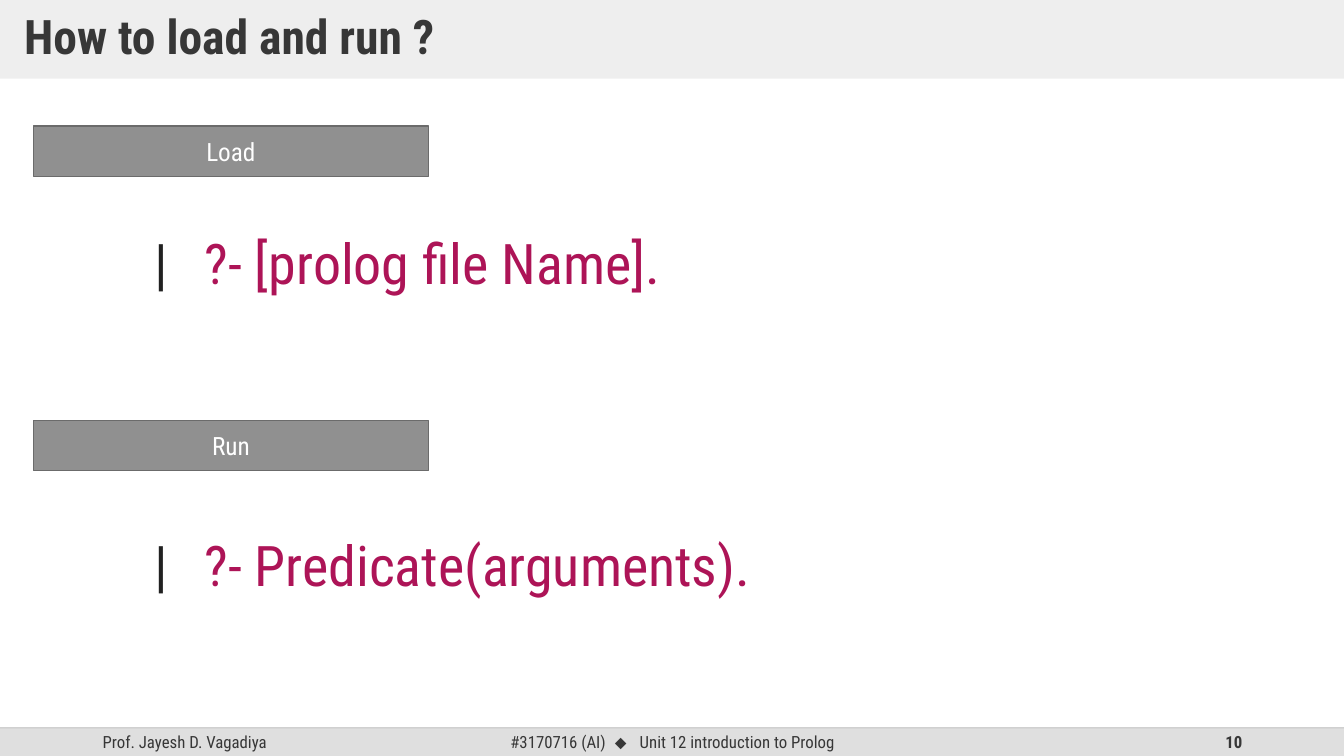
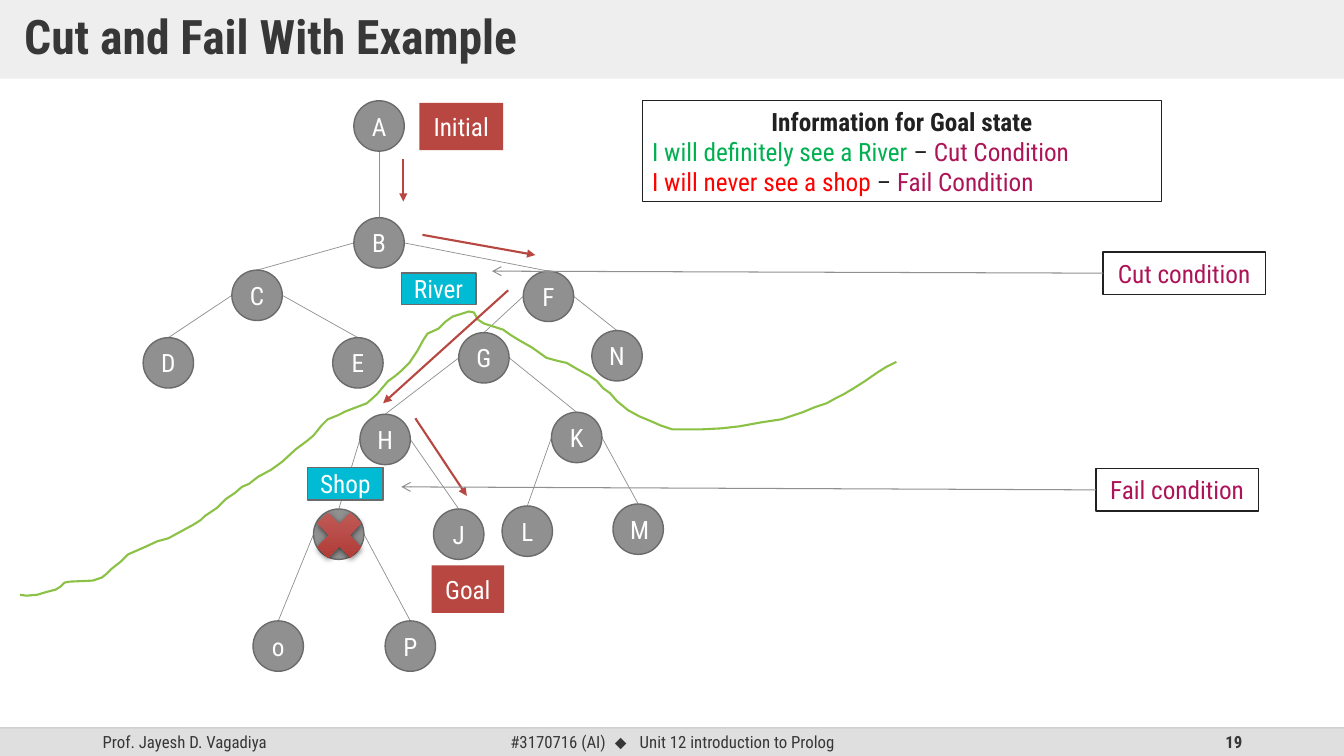
"""Builds two Prolog lecture slides: loading and running, and cut and fail on a search tree."""

from dataclasses import dataclass
from typing import Any, NamedTuple, Optional, Sequence

import lxml.etree
import pptx
import pptx.dml.color
import pptx.enum.dml
import pptx.enum.shapes
import pptx.enum.text
import pptx.oxml.ns
import pptx.util

COLORS = {
    "white": "FFFFFF", "ink": "212121", "dark": "373737", "band": "DFDFDF",
    "rule": "BFBFBF", "gray": "909090", "edge": "6B6B6B", "pink": "AD1457",
    "red": "B84742", "cyan": "00BBD3", "lime": "8BC145", "green": "00B050",
    "alert": "FF0000", "cross_top": "C2615E", "cross_end": "AE3530",
}
FONT = "Roboto Condensed"
WIDTH, HEIGHT = 13.33, 7.5
FOOT_TOP, FOOT_H = 7.22, 0.28
NODE = 0.5
SHAPE = pptx.enum.shapes.MSO_SHAPE
ALIGN = pptx.enum.text.PP_ALIGN
MIDDLE = pptx.enum.text.MSO_ANCHOR.MIDDLE
Inches = pptx.util.Inches
qn = pptx.oxml.ns.qn


class Box(NamedTuple):
    x: float
    y: float
    w: float
    h: float


class Run(NamedTuple):
    text: str
    color: str = "white"
    size: float = 18
    bold: bool = False
    font: str = FONT
    spacing: float = 0


@dataclass(frozen=True)
class Para:
    runs: Sequence[Run]
    align: Any = ALIGN.CENTER
    line_spacing: Optional[float] = None
    tab: Optional[float] = None


@dataclass(frozen=True)
class Label:
    box: Box
    paras: Sequence[Para]
    fill: str
    line: Optional[str] = None


@dataclass(frozen=True)
class Line:
    start: tuple[float, float]
    end: tuple[float, float]
    color: str = "gray"
    width: float = 0.5
    head: Optional[str] = None
    alpha: Optional[int] = None


NODES = {
    "A": (3.51, 1), "B": (3.51, 2.16), "C": (2.3, 2.68), "F": (5.19, 2.69),
    "D": (1.42, 3.35), "E": (3.3, 3.35), "G": (4.55, 3.3), "N": (5.87, 3.28),
    "H": (3.57, 4.11), "K": (5.47, 4.09), "L": (4.98, 5.02), "M": (6.08, 5),
    "I": (3.11, 5.05), "J": (4.3, 5.05), "o": (2.51, 6.16), "P": (3.82, 6.16),
}
BRANCHES = {"B": "CF", "C": "DE", "F": "GN", "G": "HK", "H": "IJ", "K": "LM", "I": "oP"}
RIVER = [
    (0.2, 5.9), (0.26, 5.91), (0.37, 5.9), (0.47, 5.87), (0.55, 5.85), (0.6, 5.82),
    (0.64, 5.78), (0.69, 5.77), (0.92, 5.76), (1.01, 5.73), (1.06, 5.69), (1.11, 5.64),
    (1.2, 5.57), (1.27, 5.5), (1.43, 5.43), (1.56, 5.37), (1.67, 5.34), (1.78, 5.28),
    (1.91, 5.21), (1.99, 5.16), (2.03, 5.12), (2.15, 5.04), (2.24, 4.95), (2.33, 4.89),
    (2.4, 4.83), (2.47, 4.8), (2.56, 4.73), (2.69, 4.66), (2.8, 4.58), (2.93, 4.46),
    (3.05, 4.37), (3.11, 4.32), (3.19, 4.22), (3.25, 4.16), (3.35, 4.12), (3.43, 4.08),
    (3.64, 4), (3.74, 3.91), (3.79, 3.85), (3.85, 3.78), (3.92, 3.73), (3.99, 3.67),
    (4.06, 3.6), (4.14, 3.48), (4.2, 3.37), (4.24, 3.31), (4.35, 3.26), (4.42, 3.19),
    (4.49, 3.14), (4.65, 3.09), (4.7, 3.1), (4.74, 3.17), (4.8, 3.21), (4.99, 3.27),
    (5.06, 3.32), (5.14, 3.37), (5.21, 3.41), (5.28, 3.45), (5.42, 3.55), (5.53, 3.58),
    (5.62, 3.6), (5.74, 3.67), (5.85, 3.73), (5.92, 3.78), (5.98, 3.85), (6.05, 3.9),
    (6.12, 3.98), (6.23, 4.07), (6.34, 4.13), (6.46, 4.18), (6.55, 4.22), (6.67, 4.26),
    (6.95, 4.26), (7.15, 4.25), (7.33, 4.23), (7.55, 4.19), (7.75, 4.16), (7.84, 4.13),
    (7.96, 4.09), (8.08, 4.04), (8.2, 4), (8.29, 3.95), (8.37, 3.91), (8.47, 3.85),
    (8.58, 3.78), (8.71, 3.69), (8.79, 3.64), (8.89, 3.59),
]


def rgb(name: str) -> pptx.dml.color.RGBColor:
    return pptx.dml.color.RGBColor.from_string(COLORS[name])


def add_xml(parent: Any, tag: str, **attrs: Any) -> Any:
    return lxml.etree.SubElement(parent, qn(tag), {k: str(v) for k, v in attrs.items()})


def set_alpha(element: Any, percent: int) -> None:
    add_xml(next(element.iter(qn("a:srgbClr"))), "a:alpha", val=percent * 1000)


def write(sp: Any, paras: Sequence[Para], wrap: bool = True) -> None:
    tf = sp.text_frame
    tf.word_wrap = wrap
    tf.vertical_anchor = MIDDLE
    for i, para in enumerate(paras):
        p = tf.add_paragraph() if i else tf.paragraphs[0]
        p.alignment = para.align
        if para.line_spacing:
            p.line_spacing = para.line_spacing
        if para.tab:
            tabs = add_xml(p._p.get_or_add_pPr(), "a:tabLst")
            add_xml(tabs, "a:tab", pos=Inches(para.tab), algn="l")
        for run in para.runs:
            r = p.add_run()
            r.text = run.text
            r.font.name = run.font
            r.font.size = pptx.util.Pt(run.size)
            r.font.bold = run.bold
            r.font.color.rgb = rgb(run.color)
            if run.spacing:
                r._r.get_or_add_rPr().set("spc", str(int(run.spacing * 100)))


def add_shape(s: Any, kind: Any, box: Box, fill: str, line: Optional[str] = None) -> Any:
    sp = s.shapes.add_shape(kind, *map(Inches, box))
    sp.shadow.inherit = False
    sp.fill.solid()
    sp.fill.fore_color.rgb = rgb(fill)
    if line:
        sp.line.color.rgb = rgb(line)
        sp.line.width = pptx.util.Pt(1)
    else:
        sp.line.fill.background()
    return sp


def add_label(s: Any, label: Label) -> None:
    write(add_shape(s, SHAPE.RECTANGLE, label.box, label.fill, label.line), label.paras)


def add_text(s: Any, box: Box, para: Para, wrap: bool = True) -> None:
    write(s.shapes.add_textbox(*map(Inches, box)), [para], wrap)


def add_line(s: Any, line: Line) -> None:
    cx = s.shapes.add_connector(
        pptx.enum.shapes.MSO_CONNECTOR.STRAIGHT, *map(Inches, line.start + line.end))
    cx.line.color.rgb = rgb(line.color)
    cx.line.width = pptx.util.Pt(line.width)
    sp_pr = cx._element.spPr
    ln = sp_pr.find(qn("a:ln"))
    if line.alpha:
        set_alpha(ln, line.alpha)
    if line.head:
        add_xml(ln, "a:tailEnd", type=line.head)
    add_xml(sp_pr, "a:effectLst")


def add_slide(prs: Any, title: str, number: int) -> Any:
    s = prs.slides.add_slide(prs.slide_layouts[6])
    add_shape(s, SHAPE.RECTANGLE, Box(0, FOOT_TOP, WIDTH, FOOT_H), "band")
    unit = [Run("#3170716 (AI)", "dark", 12),
            Run(" ⬥ ", "dark", 12, font="Arial", spacing=3),
            Run("Unit 12 introduction to Prolog", "dark", 12)]
    for x, w, runs, align in (
        (0.92, 3, [Run("Prof. Jayesh D. Vagadiya", "dark", 12)], ALIGN.LEFT),
        (3.64, 6.06, unit, ALIGN.CENTER),
        (9.42, 3, [Run(str(number), "dark", 12, True)], ALIGN.RIGHT),
    ):
        add_text(s, Box(x, FOOT_TOP, w, FOOT_H), Para(runs, align))
    add_line(s, Line((0, FOOT_TOP), (WIDTH, FOOT_TOP), "rule", 1, alpha=70))
    sp = add_shape(s, SHAPE.RECTANGLE, Box(0, 0, WIDTH, 0.78), "band")
    set_alpha(sp._element.spPr, 50)
    tf = sp.text_frame
    tf.margin_left = tf.margin_right = Inches(0.24)
    tf.margin_top = tf.margin_bottom = Inches(0.12)
    write(sp, [Para([Run(title, "dark", 34, True)], ALIGN.LEFT, 0.9)])
    return s


def add_load_and_run(prs: Any) -> None:
    s = add_slide(prs, "How to load and run ?", 10)
    for name, top, command, command_top, w in (
        ("Load", 1.25, "?- [prolog file Name].", 2.22, 6.25),
        ("Run", 4.17, "?- Predicate(arguments).", 5.21, 6.74),
    ):
        add_label(s, Label(Box(0.33, top, 3.92, 0.5), [Para([Run(name)])], "gray", "edge"))
        runs = [Run("|\t", "ink", 40), Run(command, "pink", 40)]
        add_text(s, Box(1.43, command_top, w, 0.77), Para(runs, ALIGN.LEFT, tab=0.5), False)


def add_tree(s: Any) -> None:
    half = NODE / 2
    ax, ay = NODES["A"]
    bx, by = NODES["B"]
    add_line(s, Line((ax + half, ay + NODE), (bx + half, by)))
    for parent, children in BRANCHES.items():
        px, py = NODES[parent]
        for side, child in enumerate(children):
            x, y = NODES[child]
            add_line(s, Line((px + side * NODE, py + half), (x + half, y)))
    for name, (x, y) in NODES.items():
        sp = add_shape(s, SHAPE.OVAL, Box(x, y, NODE, NODE), "gray", "edge")
        write(sp, [Para([Run(name)])])


def add_river(s: Any) -> None:
    points = [(Inches(x), Inches(y)) for x, y in RIVER]
    fb = s.shapes.build_freeform(*points[0])
    fb.add_line_segments(points[1:], close=False)
    sp = fb.convert_to_shape()
    sp.shadow.inherit = False
    sp.fill.background()
    sp.line.color.rgb = rgb("lime")
    sp.line.width = pptx.util.Pt(1.5)


def add_cross(s: Any) -> None:
    sp = add_shape(s, SHAPE.MATH_MULTIPLY, Box(3.05, 4.98, 0.63, 0.66), "red")
    sp.fill.gradient()
    sp.fill.gradient_angle = 270
    for stop, name in zip(sp.fill.gradient_stops, ("cross_top", "cross_end")):
        stop.color.rgb = rgb(name)
    effects = sp._element.spPr.find(qn("a:effectLst"))
    shadow = add_xml(effects, "a:outerShdw", blurRad=pptx.util.Pt(4.5),
                     dist=pptx.util.Pt(1.5), dir=5400000, rotWithShape=0)
    add_xml(add_xml(shadow, "a:srgbClr", val="000000"), "a:alpha", val=63000)


def add_cut_and_fail(prs: Any) -> None:
    s = add_slide(prs, "Cut and Fail With Example", 19)
    add_tree(s)
    add_river(s)
    info = [Para([Run("Information for Goal state", "ink", bold=True)])]
    for claim, color, condition in (
        ("I will definitely see a River ", "green", "Cut Condition"),
        ("I will never see a shop ", "alert", "Fail Condition"),
    ):
        runs = [Run(claim, color), Run("– ", "ink"), Run(condition, "pink")]
        info.append(Para(runs, ALIGN.LEFT))
    add_label(s, Label(Box(6.37, 1, 5.15, 1), info, "white", "ink"))
    for text, box, fill, line, color in (
        ("River", Box(3.98, 2.71, 0.74, 0.31), "cyan", "edge", "white"),
        ("Shop", Box(3.05, 4.64, 0.75, 0.32), "cyan", "edge", "white"),
        ("Goal", Box(4.28, 5.61, 0.72, 0.47), "red", None, "white"),
        ("Initial", Box(4.16, 1.02, 0.83, 0.47), "red", None, "white"),
        ("Cut condition", Box(10.94, 2.5, 1.61, 0.42), "white", "ink", "pink"),
        ("Fail condition", Box(10.87, 4.65, 1.61, 0.42), "white", "ink", "pink"),
    ):
        add_label(s, Label(box, [Para([Run(text, color)])], fill, line))
    for start, end in (
        ((4, 1.58), (4, 2)), ((4.19, 2.33), (5.31, 2.53)),
        ((5.04, 2.88), (3.8, 4)), ((4.12, 4.15), (4.63, 4.92)),
    ):
        add_line(s, Line(start, end, "red", 1.5, "triangle"))
    for start, end in (((10.94, 2.71), (4.88, 2.69)), ((10.87, 4.86), (3.98, 4.83))):
        add_line(s, Line(start, end, width=0.75, head="arrow"))
    add_cross(s)


def main() -> None:
    prs = pptx.Presentation()
    prs.slide_width, prs.slide_height = Inches(WIDTH), Inches(HEIGHT)
    add_load_and_run(prs)
    add_cut_and_fail(prs)
    prs.save("out.pptx")


if __name__ == "__main__":
    main()
